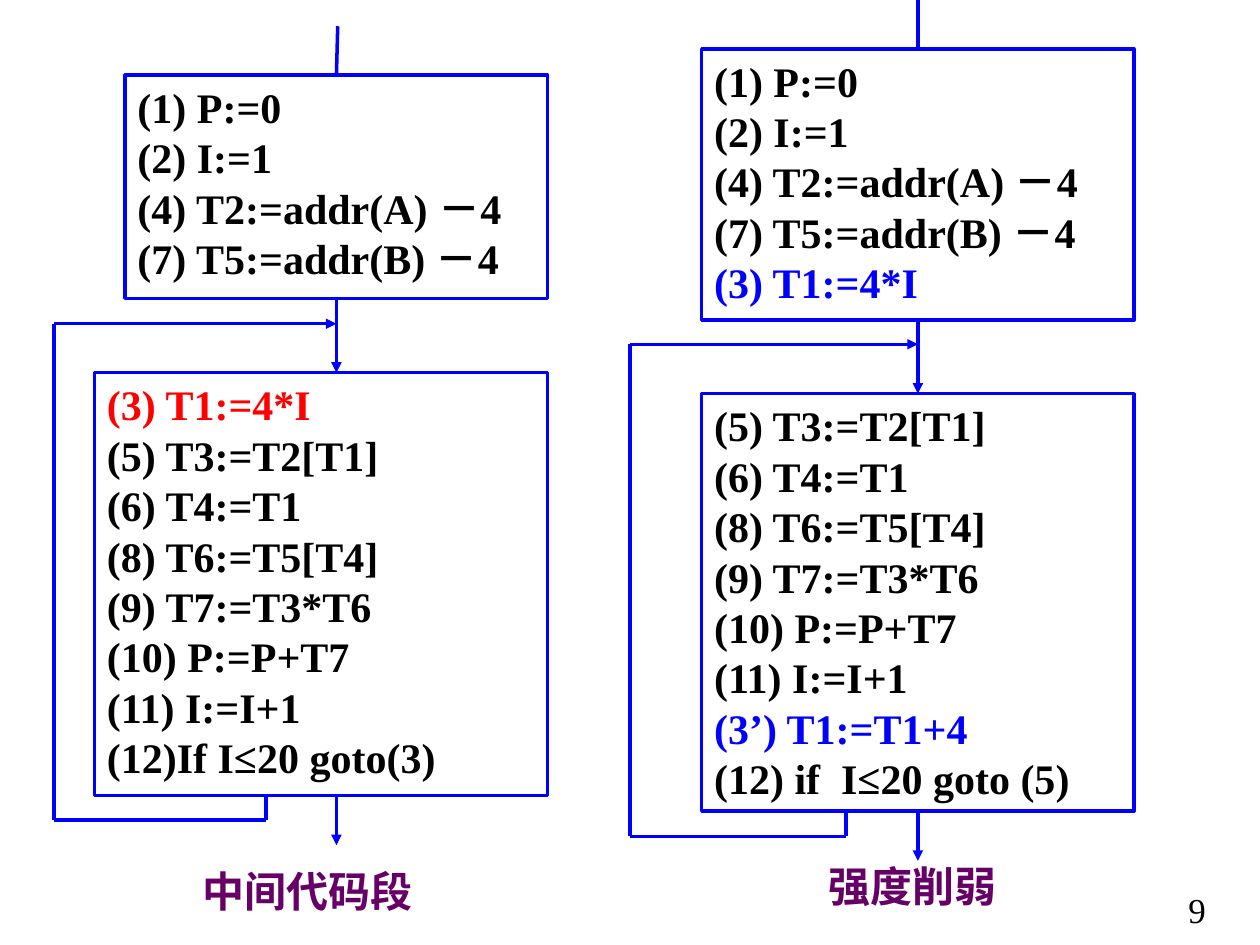
import pptx
import pptx.util
import pptx.dml.color
import pptx.enum.shapes
import pptx.enum.text
import pptx.oxml.ns
from lxml import etree

Pt = pptx.util.Pt
qn = pptx.oxml.ns.qn

BLUE, RED, BLACK, WHITE, PURPLE = "0000FF", "FF0000", "000000", "FFFFFF", "660066"
LATIN, CHINESE = "Times New Roman", "Noto Sans CJK SC"
TOP, BOTTOM = 0, 2


def color(value):
    return pptx.dml.color.RGBColor.from_string(value)


def set_margins(frame, side, vertical):
    frame.margin_left = frame.margin_right = Pt(side)
    frame.margin_top = frame.margin_bottom = Pt(vertical)


def style(para, name, size, value, bold):
    para.font.name = name
    para.font.size = Pt(size)
    para.font.bold = bold
    para.font.color.rgb = color(value)
    # East Asian characters need their own typeface
    defaults = para._p.pPr.find(qn("a:defRPr"))
    etree.SubElement(defaults, qn("a:ea")).set("typeface", CHINESE)


def add_label(page, text, left, top, width, height, name, size, value, bold, margins):
    box = page.shapes.add_textbox(Pt(left), Pt(top), Pt(width), Pt(height))
    frame = box.text_frame
    frame.word_wrap = True
    set_margins(frame, *margins)
    para = frame.paragraphs[0]
    para.text = text
    style(para, name, size, value, bold)


def add_block(page, left, top, width, height, lines, accents):
    """A basic block of code; accents maps a line number to its colour."""
    block = page.shapes.add_shape(
        pptx.enum.shapes.MSO_SHAPE.RECTANGLE, Pt(left), Pt(top), Pt(width), Pt(height))
    block.shadow.inherit = False
    block.fill.solid()
    block.fill.fore_color.rgb = color(WHITE)
    block.line.color.rgb = color(BLUE)
    block.line.width = Pt(2)
    frame = block.text_frame
    frame.word_wrap = True
    frame.vertical_anchor = pptx.enum.text.MSO_ANCHOR.TOP
    set_margins(frame, 7.2, 3.6)
    for number, line in enumerate(lines):
        para = frame.add_paragraph() if number else frame.paragraphs[0]
        para.text = line
        para.alignment = pptx.enum.text.PP_ALIGN.JUSTIFY
        para.line_spacing = Pt(28.8)
        style(para, LATIN, 24, accents.get(number, BLACK), True)
    return block


def add_line(page, start, end, arrow=False, source=None, target=None):
    """A flow line, joined to a block where it meets the middle of its side."""
    line = page.shapes.add_connector(
        pptx.enum.shapes.MSO_CONNECTOR.STRAIGHT, *map(Pt, start + end))
    line.line.color.rgb = color(BLUE)
    line.line.width = Pt(2)
    properties = line._element.spPr
    if arrow:
        etree.SubElement(line.line._get_or_add_ln(), qn("a:tailEnd")).set("type", "triangle")
    etree.SubElement(properties, qn("a:effectLst"))
    if source is not None and is_middle(source, start[0]):
        line.begin_connect(source, BOTTOM)
    if target is not None and is_middle(target, end[0]):
        line.end_connect(target, TOP)


def is_middle(block, x):
    return abs(block.left + block.width / 2 - Pt(x)) < Pt(0.5)


def add_flow(page, axis, entry, setup, body, loop, exit_bottom):
    """Setup block, loop body block and the lines around them."""
    setup_block = add_block(page, *setup)
    body_block = add_block(page, *body)
    setup_bottom = setup[1] + setup[3]
    body_top, body_bottom = body[1], body[1] + body[3]

    # Straight path down the axis
    add_line(page, entry, (axis, setup[1]), target=setup_block)
    add_line(page, (axis, setup_bottom), (axis, body_top), True, setup_block, body_block)
    add_line(page, (axis, body_bottom), (axis, exit_bottom), True, body_block)

    # Path back from the body to its start
    left, top, right, bottom = loop
    corners = [(right, body_bottom), (right, bottom), (left, bottom), (left, top), (axis, top)]
    for start, end in zip(corners, corners[1:]):
        add_line(page, start, end, arrow=end == corners[-1])


def main():
    deck = pptx.Presentation()
    deck.slide_width, deck.slide_height = Pt(720), Pt(540)
    page = deck.slides.add_slide(deck.slide_layouts[6])

    setup = ["(1) P:=0", "(2) I:=1", "(4) T2:=addr(A) －4", "(7) T5:=addr(B) －4"]
    body = ["(5) T3:=T2[T1]", "(6) T4:=T1", "(8) T6:=T5[T4]", "(9) T7:=T3*T6",
            "(10) P:=P+T7", "(11) I:=I+1"]
    product = "(3) T1:=4*I"

    # Intermediate code
    add_flow(page, 192.25, (193, 15),
             (71.5, 43, 241.5, 127.5, setup, {}),
             (54, 213, 259, 241.5, [product] + body + ["(12)If I≤20 goto(3)"], {0: RED}),
             (31, 185, 152, 468.5), 483)

    # After strength reduction
    add_flow(page, 524.5, (524.5, 0),
             (401, 28, 247, 155, setup + [product], {4: BLUE}),
             (401, 225, 247, 238.5, body + ["(3’) T1:=T1+4", "(12) if  I≤20 goto (5)"],
              {6: BLUE}),
             (360, 196.75, 483.5, 478), 492)

    # Captions and page number
    for text, left, top, width in [("中间代码段", 115.5, 494.5, 132),
                                   ("强度削弱", 473.5, 491.5, 114)]:
        add_label(page, text, left, top, width, 29, CHINESE, 24, PURPLE, True, (0, 0))
    add_label(page, "9", 672, 504, 48, 32, LATIN, 20, BLACK, False, (7.2, 3.6))

    deck.save("out.pptx")


if __name__ == "__main__":
    main()
